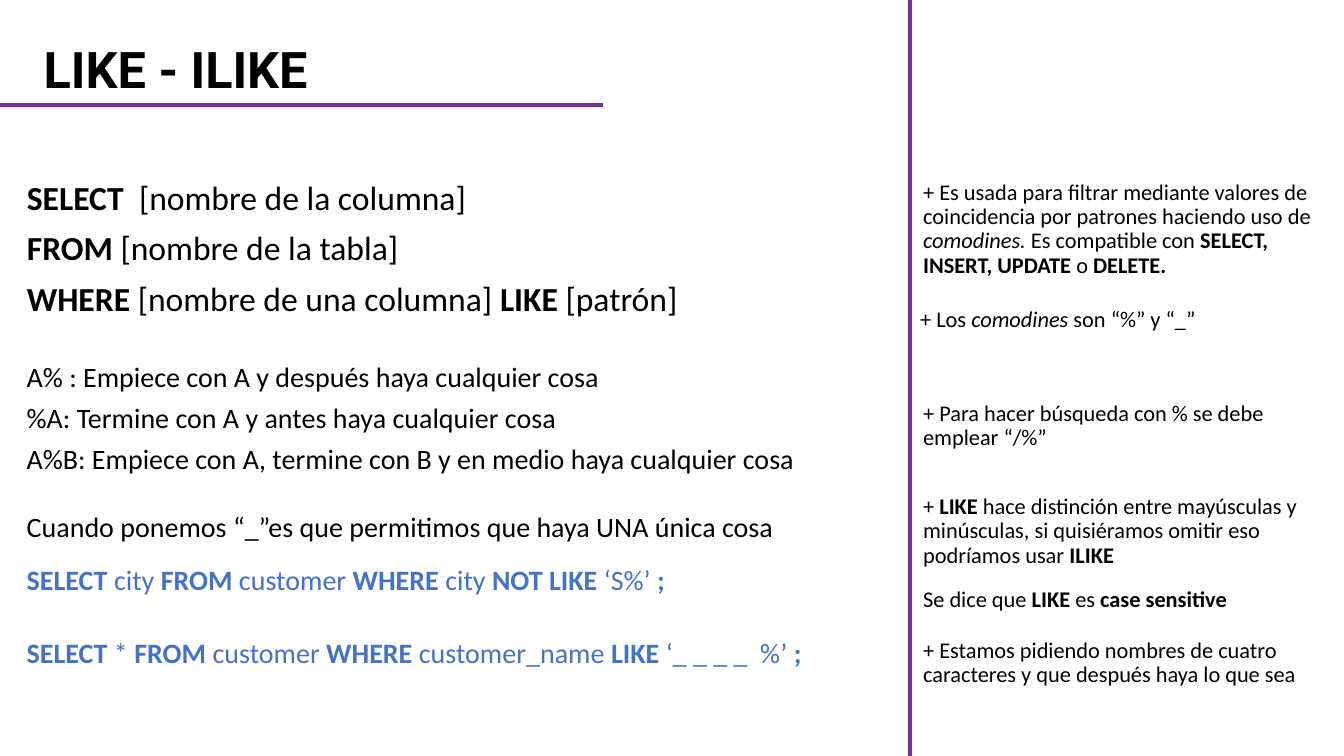
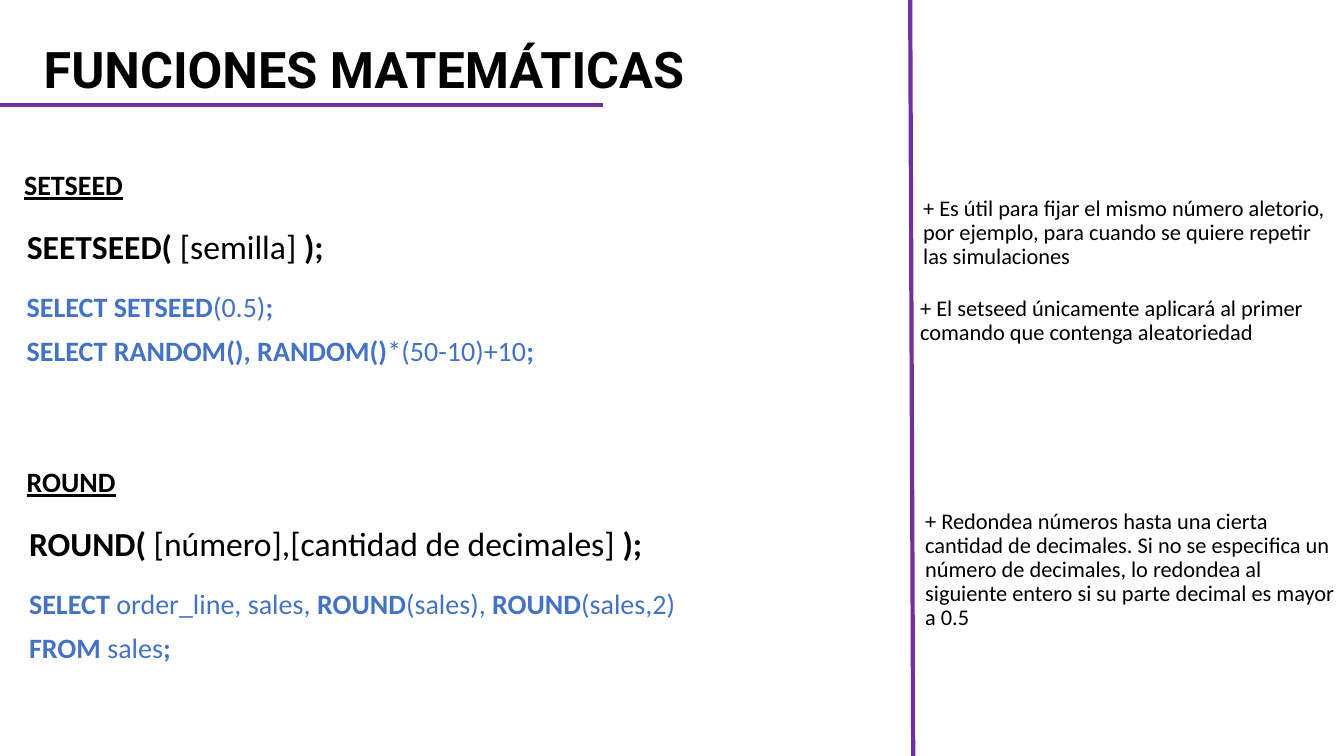
from itertools import groupby
from pptx import Presentation
from pptx import util as u
from pptx.dml.color import RGBColor
from pptx.enum import shapes, text
from pptx.oxml.ns import qn
from lxml import etree

COLORS = {"ink": "000000", "code": "4472C4", "rule": "7030A0", "paper": "FFFFFF"}

# Text styles: size in points, colour, font, line spacing, space before
STYLES = {
    "title": dict(size=36, color="ink", font="Roboto", bold=True, line=0.9, before=0),
    "syntax": dict(size=24, color="ink"),
    "head": dict(size=20, color="ink", bold=True, underline=True),
    "code": dict(size=20, color="code"),
    "list": dict(size=20, color="ink", line=0.8),
    "text": dict(size=20, color="ink"),
    "note": dict(size=16, color="ink"),
}

# Grid of 80 columns by 90 rows
prs = Presentation()
prs.slide_width, prs.slide_height = u.Inches(13.333), u.Inches(7.5)
COL, ROW = prs.slide_width / 80, prs.slide_height / 90
LEFT, NOTE = 1, 54.36
WIDE, NARROW = 52.26, 25.62
RULE_END, RULE_ROW, DIVIDER = 35.88, 12.5, 54.18

# Each slide: title, foot of the divider, blocks (style, column, row, height, lines)
# In the lines, ~ switches bold and ^ switches italic
SLIDES = [
    ("LIKE - ILIKE", DIVIDER, [
        ("syntax", LEFT, 21, 24, ["~SELECT ~ [nombre de la columna]",
                                  "~FROM~ [nombre de la tabla]",
                                  "~WHERE~ [nombre de una columna] ~LIKE~ [patrón]"]),
        ("list", LEFT, 43, 14.8, [
            "A% : Empiece con A y después haya cualquier cosa",
            "%A: Termine con A y antes haya cualquier cosa",
            "A%B: Empiece con A, termine con B y en medio haya cualquier cosa"]),
        ("text", LEFT, 60.5, 5.8,
         ["Cuando ponemos “_”es que permitimos que haya UNA única cosa"]),
        ("code", LEFT, 66.8, 5.8,
         ["~SELECT ~city ~FROM ~customer ~WHERE ~city ~NOT LIKE ~‘S%’ ~;"]),
        ("code", LEFT, 75.5, 5.8,
         ["~SELECT~ * ~FROM ~customer ~WHERE ~customer_name ~LIKE ~‘_ _ _ _  %’ ~;"]),
        ("note", NOTE, 21, 15.1, [
            "+ Es usada para filtrar mediante valores de coincidencia por patrones "
            "haciendo uso de ^comodines.^ Es compatible con "
            "~SELECT, INSERT, UPDATE ~o ~DELETE."]),
        ("note", DIVIDER, 36.1, 8.9, ["+ Los ^comodines^ son “%” y “_”"]),
        ("note", NOTE, 47.3, 8.9, ["+ Para hacer búsqueda con % se debe emplear “/%”"]),
        ("note", NOTE, 58.4, 10.6, [
            "+ ~LIKE~ hace distinción entre mayúsculas y minúsculas, "
            "si quisiéramos omitir eso podríamos usar ~ILIKE"]),
        ("note", NOTE, 69.4, 4.9, ["Se dice que ~LIKE ~es ~case sensitive"]),
        ("note", NOTE, 75.5, 8.9, [
            "+ Estamos pidiendo nombres de cuatro caracteres y que después haya lo que sea"]),
    ]),
    ("FUNCIONES MATEMÁTICAS", NOTE, [
        ("head", 0.84, 19.8, 6.5, ["SETSEED"]),
        ("syntax", LEFT, 26.8, 6.2, ["~SEETSEED( ~[semilla] ~);"]),
        ("code", LEFT, 34.3, 16.1, ["~SELECT SETSEED~(0.5)~;",
                                    "~SELECT RANDOM(), RANDOM()~*(50-10)+10~;"]),
        ("head", LEFT, 55.2, 6.5, ["ROUND"]),
        ("syntax", 1.14, 62.2, 7, ["~ROUND(~ [número],[cantidad de decimales] ~);"]),
        ("code", 1.14, 69.7, 16.1, [
            "~SELECT ~order_line, sales, ~ROUND~(sales), ~ROUND~(sales,2)",
            "~FROM~ sales~;"]),
        ("note", NOTE, 22.9, 11.4, [
            "+ Es útil para fijar el mismo número aletorio, por ejemplo, "
            "para cuando se quiere repetir las simulaciones"]),
        ("note", DIVIDER, 34.8, 11.4, [
            "+ El setseed únicamente aplicará al primer comando que contenga aleatoriedad"]),
        ("note", 54.48, 60.1, 20.5, [
            "+ Redondea números hasta una cierta cantidad de decimales. Si no se "
            "especifica un número de decimales, lo redondea al siguiente entero "
            "si su parte decimal es mayor a 0.5"]),
    ]),
]


def fill_text(sp, style, box, lines, anchor=text.MSO_ANCHOR.TOP):
    """Place a shape on the grid and write its marked lines in a style."""
    st = STYLES[style]
    units = (COL, ROW, COL, ROW)
    for name, value, unit in zip(("left", "top", "width", "height"), box, units):
        setattr(sp, name, round(value * unit))
    tf = sp.text_frame
    tf.word_wrap, tf.auto_size = True, text.MSO_AUTO_SIZE.NONE
    tf.vertical_anchor = anchor
    for i, line in enumerate(lines):
        p = tf.add_paragraph() if i else tf.paragraphs[0]
        p.alignment = text.PP_ALIGN.LEFT
        p.line_spacing = st.get("line", 0.9)
        p.space_before = u.Pt(st.get("before", 10))
        on = {"~": st.get("bold", False), "^": False}
        for is_mark, chars in groupby(line, key=lambda c: c in on):
            if is_mark:
                for mark in chars:
                    on[mark] = not on[mark]
                continue
            r = p.add_run()
            r.text = "".join(chars)
            look = dict(name=st.get("font", "Calibri"), size=u.Pt(st["size"]),
                        bold=on["~"], italic=on["^"], underline=st.get("underline"))
            for key, value in look.items():
                setattr(r.font, key, value)
            r.font.color.rgb = RGBColor.from_string(COLORS[st["color"]])


for title, foot, blocks in SLIDES:
    s = prs.slides.add_slide(prs.slide_layouts[0])
    s.background.fill.solid()
    s.background.fill.fore_color.rgb = RGBColor.from_string(COLORS["paper"])

    # Title
    fill_text(s.shapes.title, "title", (2, 3.6, 60, 8.8), [title], text.MSO_ANCHOR.BOTTOM)

    # Title rule and column divider
    for x1, y1, x2, y2 in ((0, RULE_ROW, RULE_END, RULE_ROW), (foot, 90, DIVIDER, 0)):
        line = s.shapes.add_connector(shapes.MSO_CONNECTOR.STRAIGHT, round(x1 * COL),
                                      round(y1 * ROW), round(x2 * COL), round(y2 * ROW))
        line.line.width = u.Pt(3)
        line.line.color.rgb = RGBColor.from_string(COLORS["rule"])
        etree.SubElement(line._element.spPr, qn("a:effectLst"))

    # Main column and notes; the first syntax block takes the subtitle
    subtitle = s.placeholders[1]
    for style, col, row, height, lines in blocks:
        if style == "syntax" and subtitle is not None:
            sp, subtitle = subtitle, None
        else:
            sp = s.shapes.add_textbox(0, 0, 0, 0)
        width = NARROW if style == "note" else WIDE
        fill_text(sp, style, (col, row, width, height), lines)

prs.save("out.pptx")
